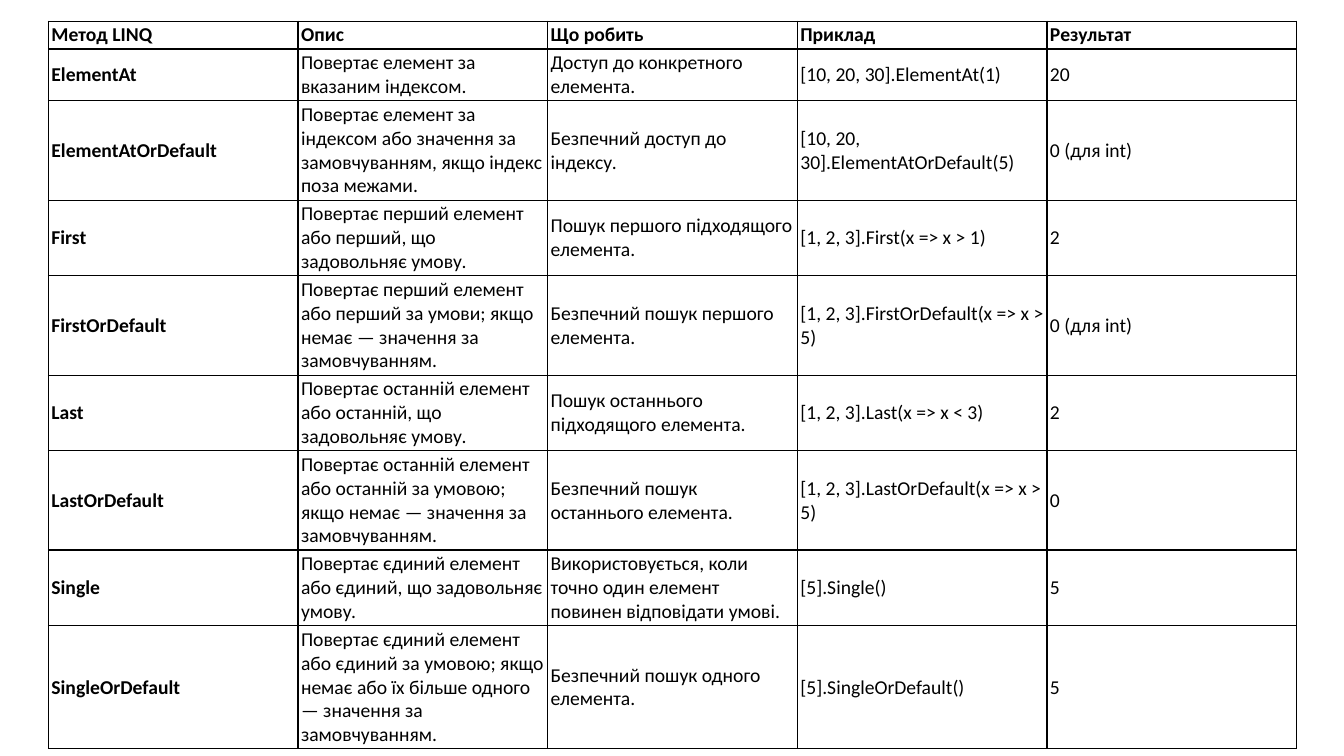
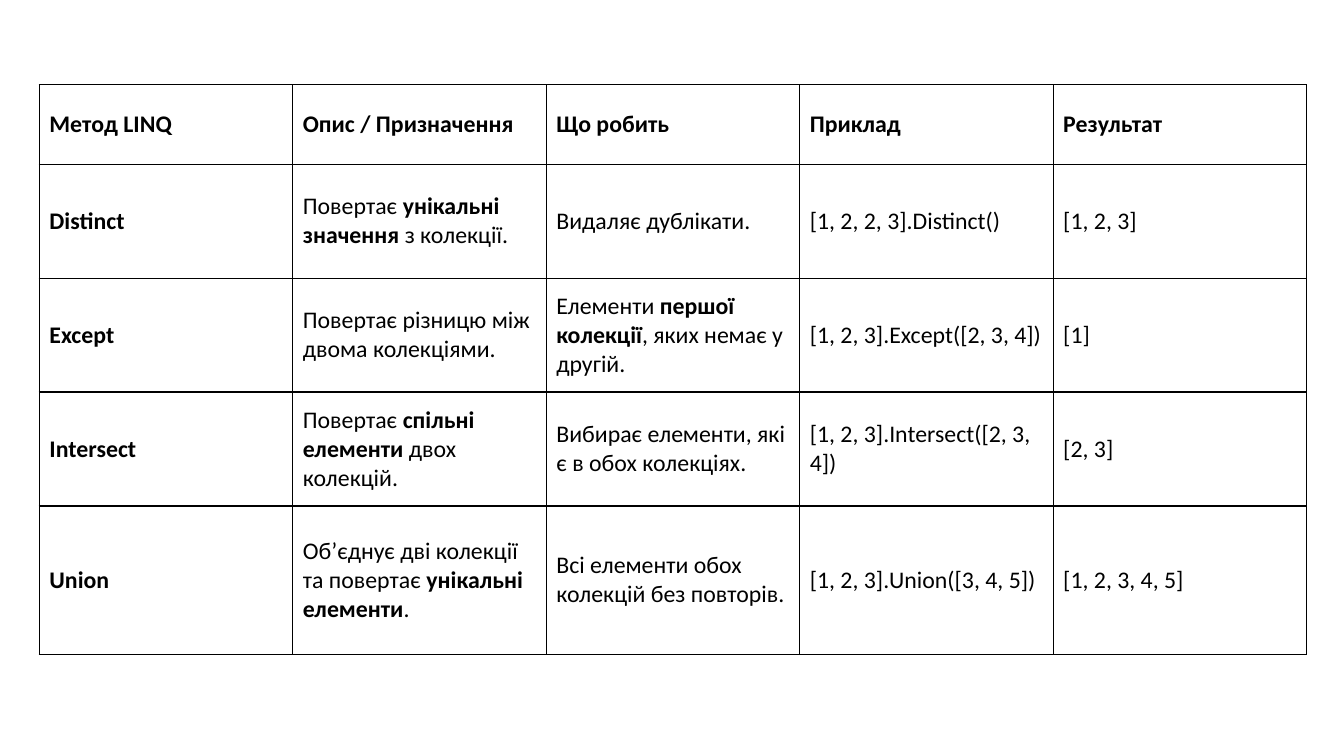
from lxml import etree
from pptx import Presentation
from pptx.dml.color import RGBColor
from pptx.enum.text import MSO_ANCHOR
from pptx.oxml.ns import qn
from pptx.util import Inches, Pt

MID = MSO_ANCHOR.MIDDLE
HEX = {"ink": "000000"}
FACE = "Calibri"
RULE = 1  # border width in points

# Content: **...** marks bold words
FIND = [
    ("Метод LINQ", "Опис", "Що робить", "Приклад", "Результат"),
    ("ElementAt", "Повертає елемент за вказаним індексом.",
     "Доступ до конкретного елемента.", "[10, 20, 30].ElementAt(1)", "20"),
    ("ElementAtOrDefault",
     "Повертає елемент за індексом або значення за замовчуванням, якщо індекс поза межами.",
     "Безпечний доступ до індексу.", "[10, 20, 30].ElementAtOrDefault(5)", "0 (для int)"),
    ("First", "Повертає перший елемент або перший, що задовольняє умову.",
     "Пошук першого підходящого елемента.", "[1, 2, 3].First(x => x > 1)", "2"),
    ("FirstOrDefault",
     "Повертає перший елемент або перший за умови; якщо немає — значення за замовчуванням.",
     "Безпечний пошук першого елемента.", "[1, 2, 3].FirstOrDefault(x => x > 5)", "0 (для int)"),
    ("Last", "Повертає останній елемент або останній, що задовольняє умову.",
     "Пошук останнього підходящого елемента.", "[1, 2, 3].Last(x => x < 3)", "2"),
    ("LastOrDefault",
     "Повертає останній елемент або останній за умовою; якщо немає — значення за замовчуванням.",
     "Безпечний пошук останнього елемента.", "[1, 2, 3].LastOrDefault(x => x > 5)", "0"),
    ("Single", "Повертає єдиний елемент або єдиний, що задовольняє умову.",
     "Використовується, коли точно один елемент повинен відповідати умові.",
     "[5].Single()", "5"),
    ("SingleOrDefault",
     "Повертає єдиний елемент або єдиний за умовою; якщо немає або їх більше одного "
     "— значення за замовчуванням.",
     "Безпечний пошук одного елемента.", "[5].SingleOrDefault()", "5"),
]
SETS = [
    ("Метод LINQ", "Опис / Призначення", "Що робить", "Приклад", "Результат"),
    ("Distinct", "Повертає **унікальні значення** з колекції.",
     "Видаляє дублікати.", "[1, 2, 2, 3].Distinct()", "[1, 2, 3]"),
    ("Except", "Повертає різницю між двома колекціями.",
     "Елементи **першої колекції**, яких немає у другій.",
     "[1, 2, 3].Except([2, 3, 4])", "[1]"),
    ("Intersect", "Повертає **спільні елементи** двох колекцій.",
     "Вибирає елементи, які є в обох колекціях.",
     "[1, 2, 3].Intersect([2, 3, 4])", "[2, 3]"),
    ("Union", "Об’єднує дві колекції та повертає **унікальні елементи**.",
     "Всі елементи обох колекцій без повторів.",
     "[1, 2, 3].Union([3, 4, 5])", "[1, 2, 3, 4, 5]"),
]
SLIDES = [
    {"data": FIND, "box": (0.48, 0.21, 12.38, 7.07), "size": 14, "pad": (0.03, 0.02),
     "rows": [0.18, 0.44] + [0.84, 0.71] * 3 + [0.97]},
    {"data": SETS, "box": (0.39, 0.84, 12.57, 5.67), "size": 17, "pad": (0.1, 0.05),
     "rows": [0.79] + [1.13] * 3 + [1.47]},
]


def edge(cell):
    """Draw a thin line on all four sides of a cell."""
    props = cell._tc.get_or_add_tcPr()
    for side in "LRTB":
        line = etree.SubElement(props, qn("a:ln" + side), w=str(Pt(RULE)))
        fill = etree.SubElement(line, qn("a:solidFill"))
        etree.SubElement(fill, qn("a:srgbClr"), val=HEX["ink"])


def write(cell, text, size, bold):
    """Fill a cell, switching weight at each ** mark."""
    para = cell.text_frame.paragraphs[0]
    for i, part in enumerate(text.split("**")):
        run = para.add_run()
        run.text = part
        look = {"name": FACE, "size": Pt(size), "bold": bold or i % 2 == 1}
        for key, val in look.items():
            setattr(run.font, key, val)
        run.font.color.rgb = RGBColor.from_string(HEX["ink"])


def grid(slide, data, box, size, pad, rows):
    """Place one bordered table with equal columns."""
    left, top, width, height = map(Inches, box)
    count = len(data[0])
    frame = slide.shapes.add_table(len(data), count, left, top, width, height)
    table = frame.table
    table.first_row = table.horz_banding = False
    for col in table.columns:
        col.width = width // count
    for row, high in zip(table.rows, rows):
        row.height = Inches(high)
    frame.height = height

    side, end = map(Inches, pad)
    form = {"margin_left": side, "margin_right": side, "margin_top": end,
            "margin_bottom": end, "vertical_anchor": MID}
    for r, line in enumerate(data):
        for c, text in enumerate(line):
            cell = table.cell(r, c)
            for key, val in form.items():
                setattr(cell, key, val)
            edge(cell)
            cell.fill.background()
            write(cell, text, size, r == 0 or c == 0)


def main():
    deck = Presentation()
    deck.slide_width, deck.slide_height = Inches(13.33), Inches(7.5)
    blank = deck.slide_layouts[6]
    for part in SLIDES:
        grid(deck.slides.add_slide(blank), **part)
    deck.save("out.pptx")


if __name__ == "__main__":
    main()
